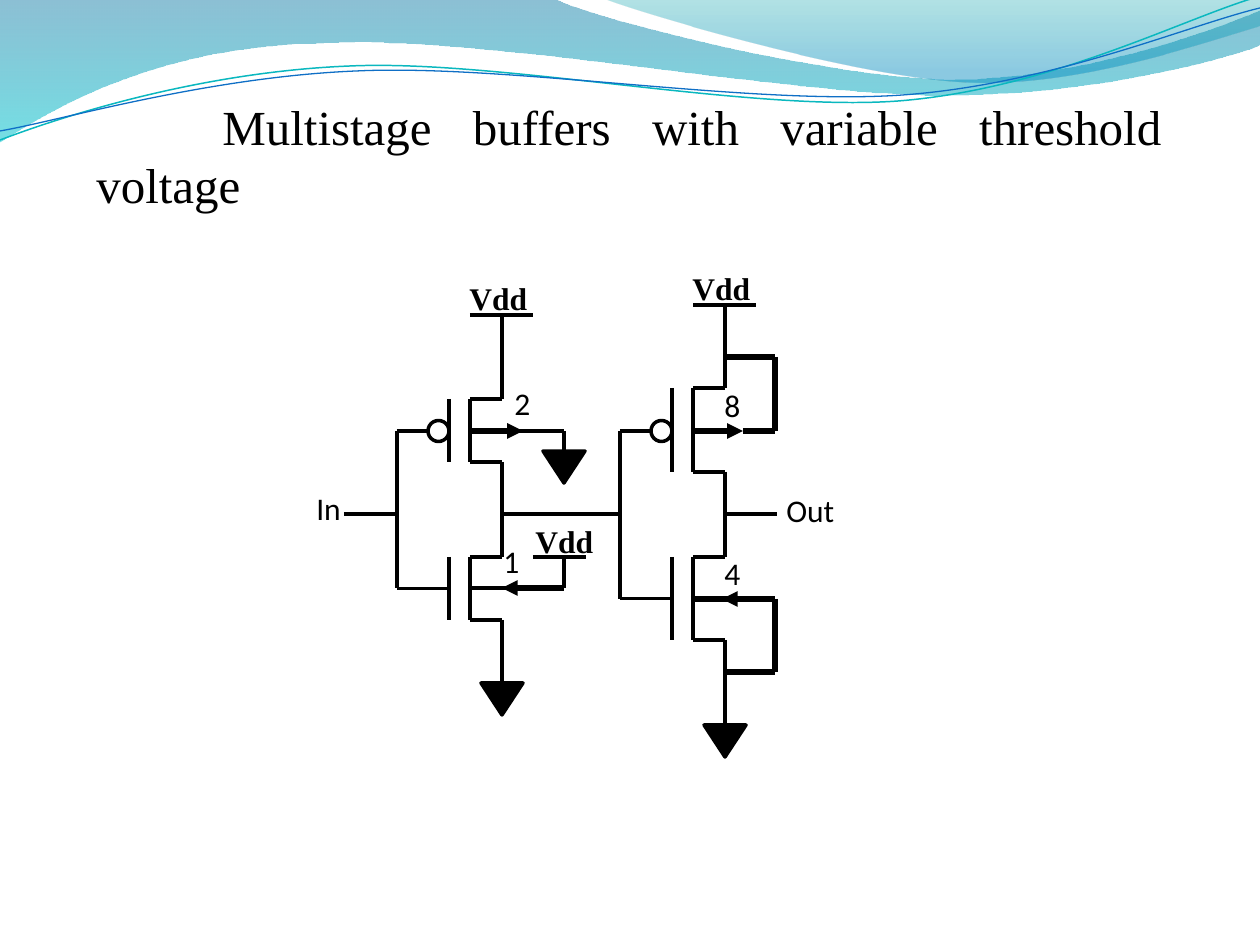
from dataclasses import dataclass
from lxml.etree import SubElement
from pptx import Presentation
from pptx.dml.color import RGBColor
from pptx.enum.shapes import MSO_CONNECTOR, MSO_SHAPE
from pptx.enum.text import PP_ALIGN
from pptx.oxml.ns import qn
from pptx.util import Pt

SCALE = 914400 / 126  # EMU in one px


@dataclass(frozen=True)
class Theme:
    ink: str = "000000"
    paper: str = "FFFFFF"
    serif: str = "Times New Roman"
    sans: str = "Calibri"
    title: int = 28
    label: int = 18
    wire: float = 2.25
    body: float = 3
    symbol: float = 2


THEME = Theme()

# Content: title and labels (text, left, top, width)
TITLE = "Multistage buffers with variable threshold voltage"
PIN_LABELS = [
    ("In", 304, 483, 52), ("Out", 774, 485, 76),
    ("2", 502, 378, 53), ("1", 491, 536, 42),
    ("8", 712, 380, 53), ("4", 712, 548, 42),
]
SUPPLY_LABELS = [("Vdd", 457, 273, 84), ("Vdd", 523, 516, 84), ("Vdd", 680, 263, 84)]
LABEL_HEIGHT = 50

# Content: inverter stages (x of gate bus; y of supply, PMOS, NMOS, ground)
STAGES = [
    dict(bus=397, supply=315, pmos=(399, 462), nmos=(557, 620), ground=683),
    dict(bus=620, supply=305, pmos=(388, 472), nmos=(557, 640), ground=725),
]
PLATE, CHANNEL, DRAIN, SUPPLY_WIDTH = 52, 73, 105, 63  # offsets from the bus
PMOS_GATE, SIGNAL, BUBBLE = 431, 514, 21
GROUND_SIZE = (42, 32)

# Content: signal wires and body connections (x1, y1, x2, y2)
WIRES = [
    (344, SIGNAL, 397, SIGNAL), (502, SIGNAL, 618, SIGNAL), (725, SIGNAL, 777, SIGNAL),
    (512, 431, 564, 431), (564, 431, 564, 462),
    (470, 588, 512, 588), (564, 557, 564, 588), (533, 557, 586, 557),
]
BODY_WIRES = [
    (724, 357, 775, 357), (775, 357, 775, 431), (743, 431, 775, 431),
    (691, 599, 732, 599), (775, 599, 775, 672), (724, 672, 775, 672),
]
BODY_ARROWS = [
    (470, 431, 523, 431), (564, 588, 502, 588),
    (691, 431, 743, 431), (775, 599, 722, 599),
]
BODY_GROUND = (564, 451)

# Content: waves; a pair is a corner, six numbers are a Bezier curve.
# Gradient stops are (position, colour, opacity in percent).
WAVE_BANDS = [
    ([(0, 0), (554, -1), (600, 21, 837, 79, 955, 79), (1075, 79, 1207, 33, 1260, 11),
      (1261, 45), (1239, 55, 1096, 96, 940, 95), (784, 95, 481, 35, 324, 43),
      (163, 45, 58, 105, -1, 142)],
     [(0, "0074A1", 45), (1, "00C6CF", 55)]),
    ([(604, -1), (641, 14, 859, 78, 969, 82), (1079, 87, 1211, 40, 1260, 26), (1260, 0)],
     [(0, "00A1A9", 30), (0.8, "008BBF", 45)]),
]
WAVE_LINES = [
    ([(0, 140), (60, 117, 199, 72, 349, 66), (498, 59, 747, 112, 898, 101),
      (1050, 89, 1182, 19, 1257, -3)], "0AB8BF", 0.85),
    ([(0, 131), (59, 121, 207, 77, 357, 71), (508, 64, 752, 106, 903, 95),
      (1053, 84, 1186, 26, 1260, 8)], "0F6FC6", 0.75),
]


def emu(px):
    return round(px * SCALE)


def rgb(colour):
    return RGBColor.from_string(colour)


def add_wave(slide, outline, close):
    """Freeform whose six-number segments become cubic curves."""
    points = [(emu(segment[i]), emu(segment[i + 1]))
              for segment in outline for i in range(0, len(segment), 2)]
    builder = slide.shapes.build_freeform(*points[0])
    builder.add_line_segments(points[1:], close=close)
    wave = builder.convert_to_shape()
    wave.shadow.inherit = False
    legs = iter(wave.element.xpath(".//a:lnTo"))
    for segment in outline[1:]:
        leg = next(legs)
        if len(segment) == 6:
            leg.tag = qn("a:cubicBezTo")
            for _ in range(2):
                control = next(legs)
                leg.append(control[0])
                control.getparent().remove(control)
    return wave


def add_band(slide, outline, stops):
    band = add_wave(slide, outline, True)
    band.line.fill.background()
    band.fill.gradient()
    band.fill.gradient_angle = 270
    for stop, (position, colour, _) in zip(band.fill.gradient_stops, stops):
        stop.position = position
        stop.color.rgb = rgb(colour)
    for colour_xml, (_, _, opacity) in zip(band.element.xpath(".//a:gs/a:srgbClr"), stops):
        SubElement(colour_xml, qn("a:alpha"), val=str(opacity * 1000))


def add_wire(slide, ends, width=THEME.wire, arrow=False):
    wire = slide.shapes.add_connector(MSO_CONNECTOR.STRAIGHT, *map(emu, ends))
    wire.line.color.rgb = rgb(THEME.ink)
    wire.line.width = Pt(width)
    if arrow:
        SubElement(wire.element.spPr.find(qn("a:ln")), qn("a:tailEnd"), type="triangle")
    SubElement(wire.element.spPr, qn("a:effectLst"))


def add_symbol(slide, preset, box, fill):
    symbol = slide.shapes.add_shape(preset, *map(emu, box))
    symbol.shadow.inherit = False
    symbol.fill.solid()
    symbol.fill.fore_color.rgb = rgb(fill)
    symbol.line.color.rgb = rgb(THEME.ink)
    symbol.line.width = Pt(THEME.symbol)


def add_ground(slide, x, y):
    width, height = GROUND_SIZE
    add_symbol(slide, MSO_SHAPE.FLOWCHART_MERGE, (x - width / 2, y, width, height), THEME.ink)


def add_stage(slide, bus, supply, pmos, nmos, ground):
    plate, channel, drain = bus + PLATE, bus + CHANNEL, bus + DRAIN
    nmos_gate = sum(nmos) / 2
    wires = [
        (channel, supply, channel + SUPPLY_WIDTH, supply),
        (drain, supply, drain, pmos[0]), (drain, pmos[1], drain, nmos[0]),
        (drain, nmos[1], drain, ground),
        (bus, PMOS_GATE, bus, nmos_gate), (bus, nmos_gate, plate, nmos_gate),
        (bus, PMOS_GATE, plate - BUBBLE, PMOS_GATE),
    ]
    for top, bottom in (pmos, nmos):
        wires += [(x, top, x, bottom) for x in (plate, channel)]
        wires += [(channel, y, drain, y) for y in (top, bottom)]
    for ends in wires:
        add_wire(slide, ends)
    add_symbol(slide, MSO_SHAPE.OVAL,
               (plate - BUBBLE, PMOS_GATE - BUBBLE / 2, BUBBLE, BUBBLE), THEME.paper)
    add_ground(slide, drain, ground)


def add_text(slide, text, box, font, size, bold=False):
    frame = slide.shapes.add_textbox(*map(emu, box)).text_frame
    frame.word_wrap = True
    frame.text = text
    paragraph = frame.paragraphs[0]
    style = paragraph.runs[0].font
    style.name, style.size, style.bold = font, Pt(size), bold
    style.color.rgb = rgb(THEME.ink)
    return paragraph


def main():
    deck = Presentation()
    deck.slide_width, deck.slide_height = emu(1260), emu(945)
    slide = deck.slides.add_slide(deck.slide_layouts[6])

    # Waves along the top
    for outline, stops in WAVE_BANDS:
        add_band(slide, outline, stops)
    for outline, colour, width in WAVE_LINES:
        curve = add_wave(slide, outline, False)
        curve.fill.background()
        curve.line.color.rgb = rgb(colour)
        curve.line.width = Pt(width)

    # Circuit
    for stage in STAGES:
        add_stage(slide, **stage)
    for ends in WIRES:
        add_wire(slide, ends)
    for ends in BODY_WIRES:
        add_wire(slide, ends, THEME.body)
    for ends in BODY_ARROWS:
        add_wire(slide, ends, THEME.body, arrow=True)
    add_ground(slide, *BODY_GROUND)

    # Labels and title
    for labels, font, bold in ((PIN_LABELS, THEME.sans, False), (SUPPLY_LABELS, THEME.serif, True)):
        for text, *place in labels:
            add_text(slide, text, (*place, LABEL_HEIGHT), font, THEME.label, bold)
    title = add_text(slide, TITLE, (84, 90, 1090, 125), THEME.serif, THEME.title)
    title.alignment = PP_ALIGN.JUSTIFY
    title._p.get_or_add_pPr().set("indent", str(emu(126)))

    deck.save("out.pptx")


if __name__ == "__main__":
    main()
